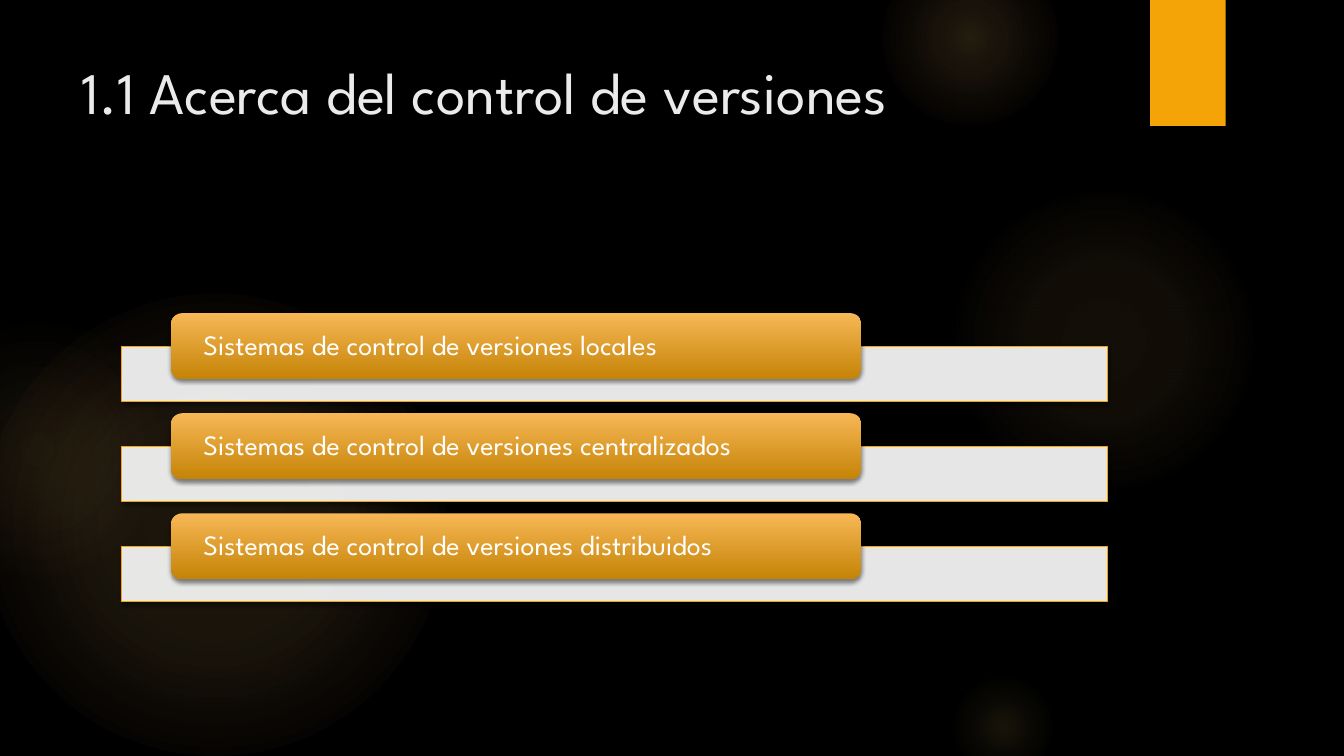
from lxml import etree
from pptx import Presentation
from pptx.dml.color import RGBColor
from pptx.enum import shapes, text
from pptx.oxml.ns import qn
from pptx.util import Pt

# Content
TITLE = "1.1 Acerca del control de versiones"
SYSTEMS = [
    "Sistemas de control de versiones locales",
    "Sistemas de control de versiones centralizados",
    "Sistemas de control de versiones distribuidos",
]

THEME = dict(
    font="League Spartan", title_size=42, card_size=20,
    background="000000", title="EBEBEB", white="FFFFFF", accent="F5A408",
    card_top="F7B756", card_bottom="C58406",
    glow="FAC96A", glow_warm="F59B74", shadow="000000",
)

# Background glows: left, top, diameter, stops of (position %, colour, opacity %)
GLOWS = [
    (-12, 210, 330, [(0, "glow", 11), (36, "glow", 10), (75, "glow", 0)]),
    (-66, 228, 186, [(0, "glow", 8), (36, "glow", 5), (71, "glow_warm", 0)]),
    (677.5, 132, 222, [(0, "glow", 7), (36, "glow", 6), (69, "glow", 0)]),
    (630, -36, 126, [(0, "glow", 14), (36, "glow", 7), (73, "glow", 0)]),
    (677.5, 480, 78, [(0, "glow", 10), (31, "glow", 5), (66, "glow", 0)]),
]

# Layout in points
TAB = (821.5, 0, 54, 90)
TITLE_BOX = (51, 36, 741, 110)
BAR = (87, 247.2, 704, 39.5)
CARD = (122.3, 223.7, 493, 47)
ROW_PITCH = 71.5


def color(name):
    return RGBColor.from_string(THEME[name])


def assign(target, values):
    for name, value in values.items():
        setattr(target, name, value)


def add_color(parent, name, opacity):
    tint = etree.SubElement(parent, qn("a:srgbClr"), val=THEME[name])
    etree.SubElement(tint, qn("a:alpha"), val=str(opacity * 1000))


def add_shape(page, kind, box):
    shape = page.shapes.add_shape(kind, *map(Pt, box))
    shape.shadow.inherit = False
    shape.line.fill.background()
    return shape


def fill_solid(shape, name):
    shape.fill.solid()
    shape.fill.fore_color.rgb = color(name)


def add_shadow(shape):
    effects = shape._element.spPr.find(qn("a:effectLst"))
    shadow = etree.SubElement(effects, qn("a:outerShdw"), blurRad=str(Pt(3)),
                              dist=str(Pt(2)), dir="5400000", rotWithShape="0")
    add_color(shadow, "shadow", 45)


def add_glow(page, left, top, size, stops):
    shape = add_shape(page, shapes.MSO_SHAPE.OVAL, (left, top, size, size))
    shape.fill.background()
    gradient = etree.Element(qn("a:gradFill"), rotWithShape="1")
    stop_list = etree.SubElement(gradient, qn("a:gsLst"))
    for position, name, opacity in stops:
        stop = etree.SubElement(stop_list, qn("a:gs"), pos=str(position * 1000))
        add_color(stop, name, opacity)
    circle = etree.SubElement(gradient, qn("a:path"), path="circle")
    etree.SubElement(circle, qn("a:fillToRect"),
                     {side: "50000" for side in "ltrb"})
    properties = shape._element.spPr
    properties.replace(properties.find(qn("a:noFill")), gradient)


def write(frame, words, size, name, para_format, frame_format):
    assign(frame, {"word_wrap": True, "auto_size": text.MSO_AUTO_SIZE.NONE,
                   **frame_format})
    para = frame.paragraphs[0]
    assign(para, {"alignment": text.PP_ALIGN.LEFT, **para_format})
    span = para.add_run()
    span.text = words
    assign(span.font, {"name": THEME["font"], "size": Pt(THEME[size])})
    span.font.color.rgb = color(name)


def add_row(page, index, words):
    def place(box):
        left, top, width, height = box
        return left, top + index * ROW_PITCH, width, height

    # Pale bar behind
    bar = add_shape(page, shapes.MSO_SHAPE.RECTANGLE, place(BAR))
    fill_solid(bar, "white")
    tint = bar._element.spPr.find(qn("a:solidFill"))[0]
    etree.SubElement(tint, qn("a:alpha"), val="90000")
    bar.line.color.rgb = color("accent")
    bar.line.width = Pt(0.75)
    add_shadow(bar)

    # Labelled card in front
    card = add_shape(page, shapes.MSO_SHAPE.ROUNDED_RECTANGLE, place(CARD))
    card.fill.gradient()
    card.fill.gradient_angle = 270
    for stop, position, name in zip(card.fill.gradient_stops, (0, 1),
                                    ("card_top", "card_bottom")):
        stop.position = position
        stop.color.rgb = color(name)
    add_shadow(card)
    write(card.text_frame, words, "card_size", "white", {"line_spacing": 0.9},
          {"vertical_anchor": text.MSO_ANCHOR.MIDDLE,
           "margin_left": Pt(20.8), "margin_right": Pt(20.8),
           "margin_top": 0, "margin_bottom": 0})


def main():
    deck = Presentation()
    assign(deck, {"slide_width": Pt(960), "slide_height": Pt(540)})
    page = deck.slides.add_slide(deck.slide_layouts[5])
    page.background.fill.solid()
    page.background.fill.fore_color.rgb = color("background")

    # Backdrop
    for glow in GLOWS:
        add_glow(page, *glow)
    tab = add_shape(page, shapes.MSO_SHAPE.RECTANGLE, TAB)
    fill_solid(tab, "accent")
    add_shadow(tab)

    # Title, raised above the backdrop
    title = page.shapes.title
    assign(title, dict(zip(("left", "top", "width", "height"),
                           map(Pt, TITLE_BOX))))
    write(title.text_frame, TITLE, "title_size", "title", {},
          {"vertical_anchor": text.MSO_ANCHOR.TOP})
    tab._element.addnext(title._element)

    # Rows
    for index, words in enumerate(SYSTEMS):
        add_row(page, index, words)
    deck.save("out.pptx")


if __name__ == "__main__":
    main()
